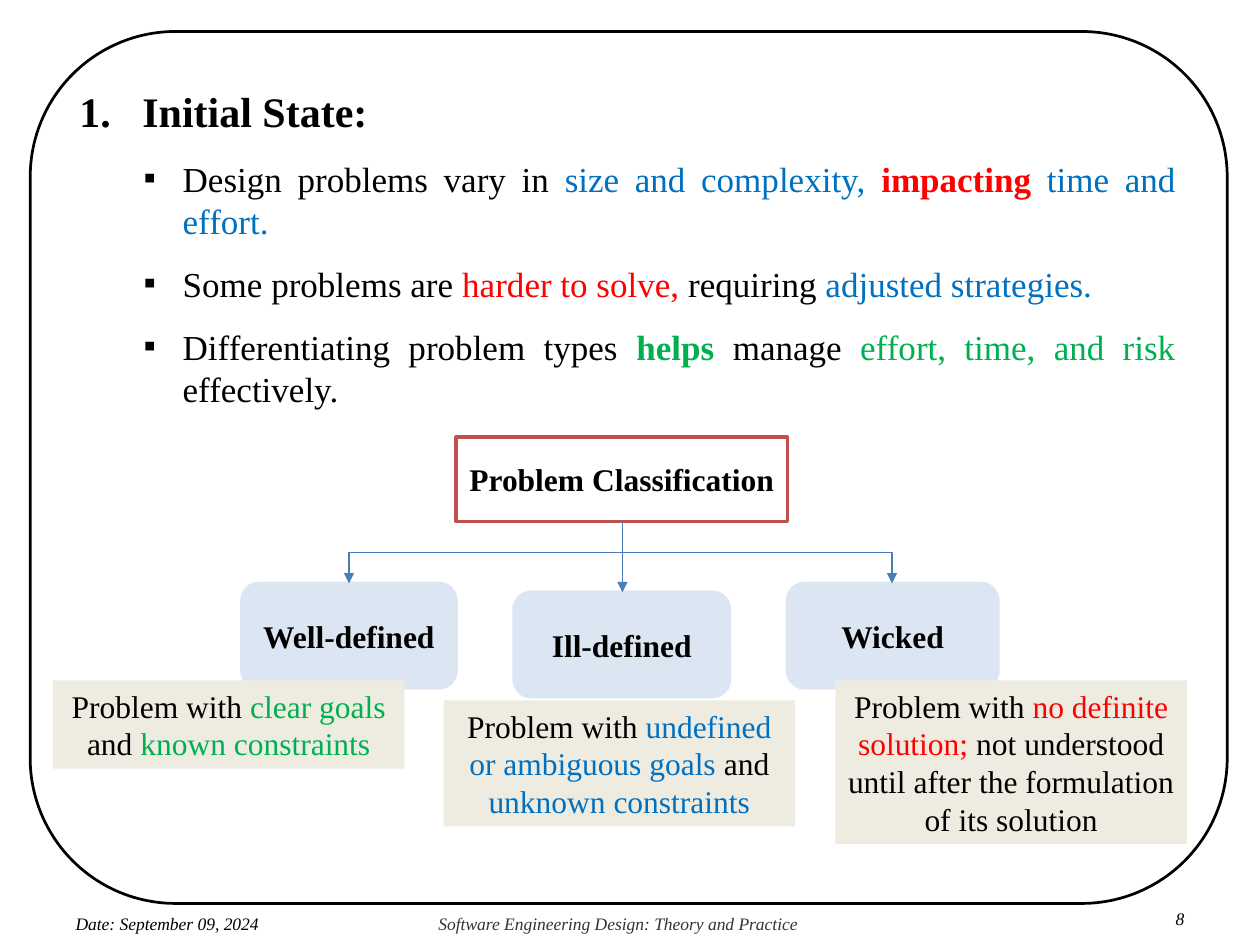
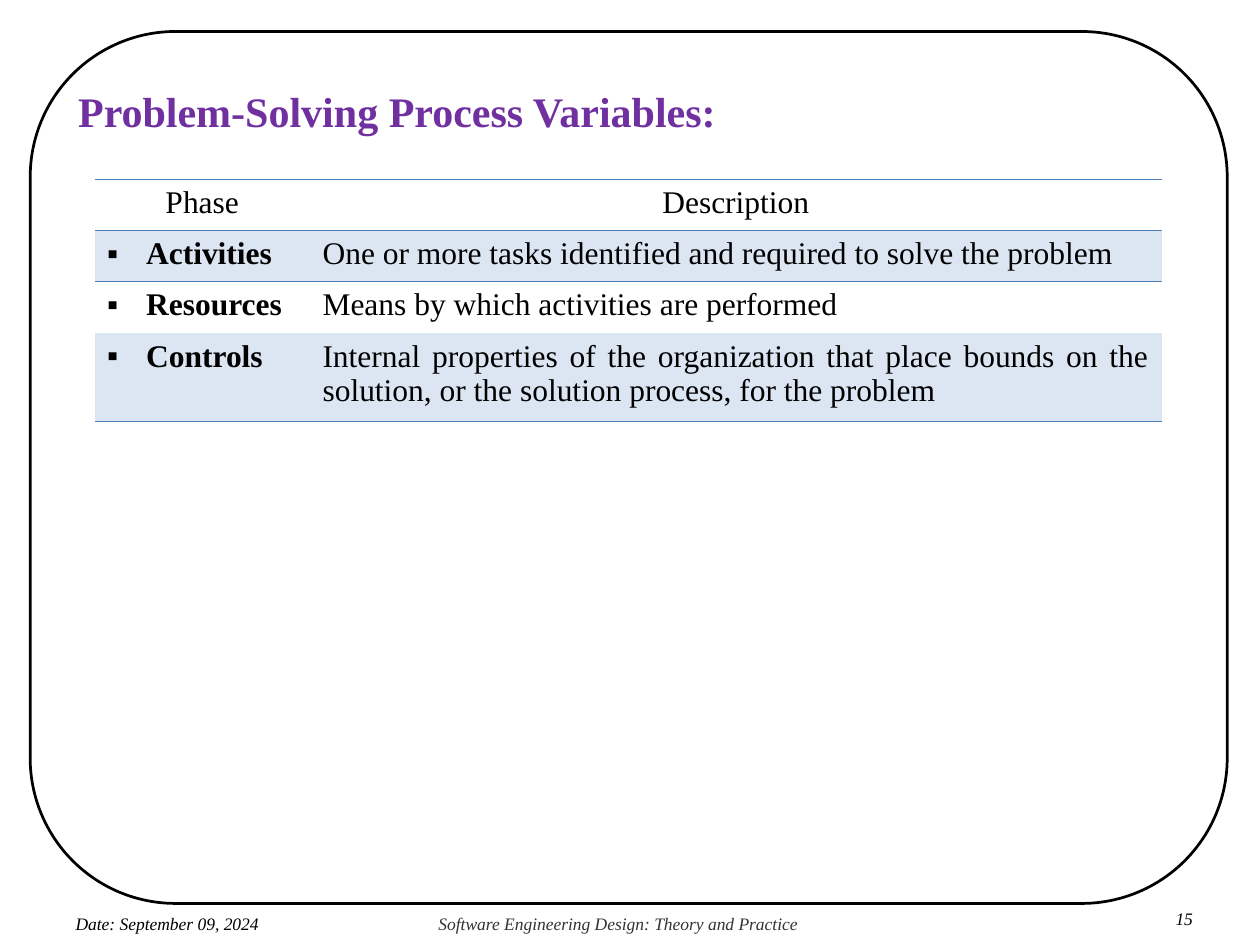
from pptx import Presentation
from pptx.dml.color import RGBColor
from pptx.enum.shapes import MSO_CONNECTOR as Connector, MSO_SHAPE as Shape
from pptx.enum.text import MSO_ANCHOR as Anchor, PP_ALIGN as Align
from pptx.oxml import parse_xml
from pptx.oxml.ns import nsdecls
from pptx.util import Inches, Pt

FONT = "Times New Roman"
BLACK, WHITE, GRAY = "000000", "FFFFFF", "333333"
BLUE, RED, GREEN, PURPLE = "0070C0", "FF0000", "00B050", "7030A0"
PALE_BLUE, SAND, BRICK = "DCE6F2", "EEECE1", "C0504D"
ARROW_BLUE, RULE_BLUE = "4A7EBB", "4F81BD"

SQUARE = f'<a:buFont {nsdecls("a")} typeface="{FONT}"/>', f'<a:buChar {nsdecls("a")} char="▪"/>'
NUMBER = (f'<a:buAutoNum {nsdecls("a")} type="arabicPeriod"/>',)

# Each footer: text, left, top, width, first indent, colour
DATE = ("Date: September 09, 2024", 0.59, 7.25, 1.58, 0.01, BLACK)
COURSE = ("Software Engineering Design: Theory and Practice", 3.47, 7.25, 2.89, 0.01, GRAY)

# Runs are (text, colour) or (text, colour, bold)
INITIAL_STATE = [
    [("Design problems vary in ", BLACK), ("size and complexity, ", BLUE),
     ("impacting ", RED, True), ("time and effort. ", BLUE)],
    [("Some problems are ", BLACK), ("harder to solve, ", RED),
     ("requiring ", BLACK), ("adjusted strategies. ", BLUE)],
    [("Differentiating problem types ", BLACK), ("helps", GREEN, True),
     (" manage ", BLACK), ("effort, time, and risk", GREEN), (" effectively.", BLACK)],
]

# Name, its box, description box, description runs
PROBLEM_KINDS = [
    ("Well-defined", (1.92, 4.63, 1.7, 0.83), (0.42, 5.4, 2.79, 0.7),
     [("Problem with ", BLACK), ("clear goals ", GREEN),
      ("and ", BLACK), ("known constraints", GREEN)]),
    ("Ill-defined", (4.08, 4.7, 1.71, 0.83), (3.52, 5.56, 2.79, 1),
     [("Problem with ", BLACK), ("undefined or ambiguous goals ", BLUE),
      ("and ", BLACK), ("unknown constraints", BLUE)]),
    ("Wicked", (6.25, 4.63, 1.67, 0.83), (6.63, 5.4, 2.79, 1.3),
     [("Problem with ", BLACK), ("no definite solution; ", RED),
      ("not understood until after the formulation of its solution", BLACK)]),
]
CLASSIFICATION_BOX = (3.62, 3.47, 2.63, 0.67)

VARIABLES = [
    ("Phase", "Description"),
    ("Activities", "One or more tasks identified and required to solve the problem"),
    ("Resources", "Means by which activities are performed"),
    ("Controls", "Internal properties of the organization that place bounds on the "
                 "solution, or the solution process, for the problem"),
]
COLUMN_WIDTHS = [1.71, 6.76]
ROW_HEIGHTS = [0.41, 0.4, 0.41, 0.7]


def color(value):
    return RGBColor.from_string(value)


def write(paragraph, runs, size, italic=False, align=Align.LEFT):
    paragraph.alignment = align
    for text, run_color, *bold in runs:
        run = paragraph.add_run()
        run.text = text
        font = run.font
        font.name, font.size, font.italic = FONT, Pt(size), italic
        font.bold = bool(bold and bold[0])
        font.color.rgb = color(run_color)


def indent(paragraph, left, first=0, bullet=()):
    """Set margins in inches and append the bullet elements."""
    properties = paragraph._p.get_or_add_pPr()
    properties.set("marL", str(Inches(left)))
    properties.set("indent", str(Inches(first)))
    for element in bullet:
        properties.append(parse_xml(element))


def set_insets(text_frame, left, top, right, bottom):
    text_frame.word_wrap = True
    text_frame.margin_left, text_frame.margin_top = Inches(left), Inches(top)
    text_frame.margin_right, text_frame.margin_bottom = Inches(right), Inches(bottom)


def add_box(slide, box, fill=None, line=None, width=2, kind=Shape.RECTANGLE):
    shape = slide.shapes.add_shape(kind, *map(Inches, box))
    shape.shadow.inherit = False
    if fill:
        shape.fill.solid()
        shape.fill.fore_color.rgb = color(fill)
    else:
        shape.fill.background()
    if line:
        shape.line.color.rgb = color(line)
        shape.line.width = Pt(width)
    else:
        shape.line.fill.background()
    return shape


def add_label(slide, box, runs, anchor=Anchor.MIDDLE, **style):
    text_frame = add_box(slide, box, **style).text_frame
    set_insets(text_frame, 0.1, 0.05, 0.1, 0.05)
    text_frame.vertical_anchor = anchor
    write(text_frame.paragraphs[0], runs, 18, align=Align.CENTER)


def add_title(slide, text, title_color, height):
    text_frame = add_box(slide, (0.62, 0.63, 8.71, height), WHITE).text_frame
    set_insets(text_frame, 0, 0.05, 0, 0)
    text_frame.vertical_anchor = Anchor.TOP
    write(text_frame.paragraphs[0], [(text, title_color, True)], 24)
    return text_frame


def add_footer(slide, text, left, top, width, first, text_color):
    text_frame = slide.shapes.add_textbox(
        Inches(left), Inches(top), Inches(width), Inches(0.16)).text_frame
    set_insets(text_frame, 0, 0, 0, 0)
    paragraph = text_frame.paragraphs[0]
    indent(paragraph, first)
    paragraph.line_spacing = Pt(11.8)
    write(paragraph, [(text, text_color)], 10, italic=True)


def add_framed_slide(presentation, number):
    slide = presentation.slides.add_slide(presentation.slide_layouts[6])
    add_box(slide, (0.24, 0.25, 9.5, 6.92), line=BLACK, width=1.56,
            kind=Shape.ROUNDED_RECTANGLE)
    for footer in (DATE, COURSE, (number, 9.22, 7.21, 0.36, 0.11, BLACK)):
        add_footer(slide, *footer)
    return slide


def add_arrow(slide, start, end):
    """Draw a straight arrow down, or one that bends halfway down."""
    (x1, y1), (x2, y2) = start, end
    if x1 == x2:
        kind, points = Connector.STRAIGHT, (x1, y1, x2, y2)
    else:
        # An elbow leaves sideways, so lay it out on its side and turn it.
        kind = Connector.ELBOW
        middle_x, middle_y = (x1 + x2) / 2, (y1 + y2) / 2
        side = 1 if x2 < x1 else -1
        half_run, half_rise = side * (y2 - y1) / 2, abs(x2 - x1) / 2
        points = (middle_x - half_run, middle_y - half_rise,
                  middle_x + half_run, middle_y + half_rise)
    connector = slide.shapes.add_connector(kind, *map(Inches, points))
    connector.line.color.rgb = color(ARROW_BLUE)
    connector.line.width = Pt(0.75)
    properties = connector._element.spPr
    if kind == Connector.ELBOW:
        properties.xfrm.set("rot", str((90 if side > 0 else 270) * 60000))
    connector.line._get_or_add_ln().append(
        parse_xml(f'<a:tailEnd {nsdecls("a")} type="triangle"/>'))
    properties.append(parse_xml(f'<a:effectLst {nsdecls("a")}/>'))


def add_rule(cell, edge):
    cell._tc.get_or_add_tcPr().insert(0, parse_xml(
        f'<a:{edge} {nsdecls("a")} w="{Pt(0.45)}"><a:solidFill>'
        f'<a:srgbClr val="{RULE_BLUE}"/></a:solidFill></a:{edge}>'))


def build_initial_state(presentation):
    slide = add_framed_slide(presentation, "8")
    text_frame = add_title(slide, "Initial State:", BLACK, 2.61)
    title = text_frame.paragraphs[0]
    indent(title, 0.51, -0.5, NUMBER)
    title.space_after = Pt(6)
    for runs in INITIAL_STATE:
        paragraph = text_frame.add_paragraph()
        paragraph.level = 1
        indent(paragraph, 0.83, -0.31, SQUARE)
        paragraph.space_before = paragraph.space_after = Pt(6)
        write(paragraph, runs, 20, align=Align.JUSTIFY)

    add_label(slide, CLASSIFICATION_BOX, [("Problem Classification", BLACK, True)],
              fill=WHITE, line=BRICK)
    left, top, width, height = CLASSIFICATION_BOX
    trunk = round(left + width / 2, 2), top + height
    for name, name_box, description_box, description in PROBLEM_KINDS:
        add_label(slide, name_box, [(name, BLACK, True)], fill=PALE_BLUE,
                  line=PALE_BLUE, kind=Shape.ROUNDED_RECTANGLE)
        add_label(slide, description_box, description, Anchor.TOP, fill=SAND)
        target = round(name_box[0] + name_box[2] / 2, 2), name_box[1]
        add_arrow(slide, trunk, target)


def build_process_variables(presentation):
    slide = add_framed_slide(presentation, "15")
    add_title(slide, "Problem-Solving Process Variables:", PURPLE, 0.45)
    frame = slide.shapes.add_table(
        len(VARIABLES), len(COLUMN_WIDTHS), Inches(0.75), Inches(1.42),
        Inches(sum(COLUMN_WIDTHS)), Inches(sum(ROW_HEIGHTS)))
    table = frame.table
    table.first_row = table.horz_banding = False
    style_id = table._tbl.tblPr.find("{*}tableStyleId")
    style_id.text = "{2D5ABB26-0587-4C30-8999-92F81FD0307C}"
    for column, width in zip(table.columns, COLUMN_WIDTHS):
        column.width = Inches(width)
    last = len(VARIABLES) - 1
    for r, texts in enumerate(VARIABLES):
        table.rows[r].height = Inches(ROW_HEIGHTS[r])
        for c, text in enumerate(texts):
            cell = table.cell(r, c)
            paragraph = cell.text_frame.paragraphs[0]
            is_phase = r > 0 and c == 0
            if is_phase:
                indent(paragraph, 0.31, -0.31, SQUARE)
            write(paragraph, [(text, BLACK, is_phase)], 18,
                  align=Align.JUSTIFY if r else Align.CENTER)
            if r % 2:
                cell.fill.solid()
                cell.fill.fore_color.rgb = color(PALE_BLUE)
            else:
                cell.fill.background()
            if r in (0, last):
                add_rule(cell, "lnB")
            if r < 2:
                add_rule(cell, "lnT")


def main():
    presentation = Presentation()
    presentation.slide_width, presentation.slide_height = Inches(10), Inches(7.5)
    build_initial_state(presentation)
    build_process_variables(presentation)
    presentation.save("out.pptx")


if __name__ == "__main__":
    main()
